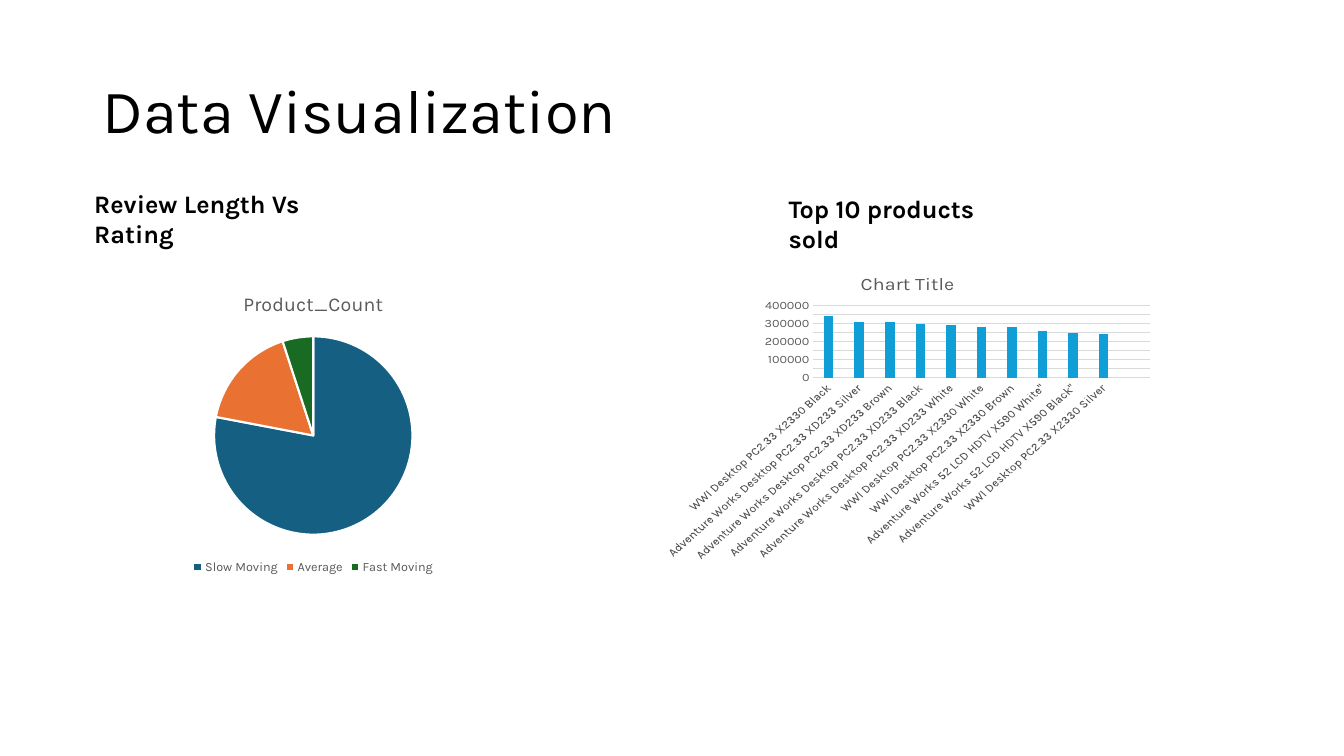
from pptx import Presentation
from pptx.chart.data import CategoryChartData
from pptx.dml.color import RGBColor
from pptx.enum.chart import XL_CHART_TYPE, XL_LEGEND_POSITION, XL_TICK_MARK
from pptx.enum.text import MSO_ANCHOR, MSO_AUTO_SIZE, PP_ALIGN
from pptx.util import Pt

FONT = "Karla"
BLACK = RGBColor(0x00, 0x00, 0x00)
WHITE = RGBColor(0xFF, 0xFF, 0xFF)
GREY = RGBColor(0x59, 0x59, 0x59)
GRID = RGBColor(0xD9, 0xD9, 0xD9)
TEAL = RGBColor(0x15, 0x60, 0x82)
ORANGE = RGBColor(0xE9, 0x71, 0x32)
GREEN = RGBColor(0x19, 0x6B, 0x24)
BLUE = RGBColor(0x0F, 0x9E, 0xD5)

MOVEMENT = ["Slow Moving", "Average", "Fast Moving"]
COUNTS = [78, 17, 5]
PRODUCTS = [
    "WWI Desktop PC2.33 X2330 Black",
    "Adventure Works Desktop PC2.33 XD233 Silver",
    "Adventure Works Desktop PC2.33 XD233 Brown",
    "Adventure Works Desktop PC2.33 XD233 Black",
    "Adventure Works Desktop PC2.33 XD233 White",
    "WWI Desktop PC2.33 X2330 White",
    "WWI Desktop PC2.33 X2330 Brown",
    'Adventure Works 52 LCD HDTV X590 White"',
    'Adventure Works 52 LCD HDTV X590 Black"',
    "WWI Desktop PC2.33 X2330 Silver",
]
SOLD = [340000, 310000, 310000, 300000, 290000, 280000, 280000, 260000, 250000, 240000, None]
SALES = [("Series 1", []), ("Series 2", []), ("Series 3", []), ("Series 4", SOLD)]
SERIES_COLORS = [TEAL, ORANGE, GREEN, BLUE]


def style_font(font, size, color, bold=False):
    font.name = FONT
    font.size = Pt(size)
    font.bold = bold
    font.color.rgb = color


def add_title(s, x, y, w, h):
    sp = s.shapes.title
    sp.left, sp.top, sp.width, sp.height = Pt(x), Pt(y), Pt(w), Pt(h)
    tf = sp.text_frame
    tf.vertical_anchor = MSO_ANCHOR.MIDDLE
    p = tf.paragraphs[0]
    p.alignment = PP_ALIGN.LEFT
    p.line_spacing = 0.9
    r = p.add_run()
    r.text = "Data Visualization"
    style_font(r.font, 44, BLACK)


def add_heading(s, text, x, y, w, h):
    tf = s.shapes.add_textbox(Pt(x), Pt(y), Pt(w), Pt(h)).text_frame
    tf.word_wrap = True
    tf.auto_size = MSO_AUTO_SIZE.SHAPE_TO_FIT_TEXT
    r = tf.paragraphs[0].add_run()
    r.text = text
    style_font(r.font, 18, BLACK, True)


def add_chart(s, kind, title, categories, series, x, y, w, h):
    data = CategoryChartData()
    data.categories = categories
    for name, values in series:
        data.add_series(name, values)
    chart = s.shapes.add_chart(kind, Pt(x), Pt(y), Pt(w), Pt(h), data).chart
    style_font(chart.font, 10, BLACK)
    chart.has_title = True
    chart.chart_title.include_in_layout = False
    r = chart.chart_title.text_frame.paragraphs[0].add_run()
    r.text = title
    style_font(r.font, 14, GREY)
    return chart


def add_movement_pie(s, x, y, w, h):
    chart = add_chart(s, XL_CHART_TYPE.PIE, "Product_Count", MOVEMENT,
                      [("Product_Count", COUNTS)], x, y, w, h)
    chart.has_legend = True
    chart.legend.position = XL_LEGEND_POSITION.BOTTOM
    chart.legend.include_in_layout = False
    style_font(chart.legend.font, 9, GREY)
    plot = chart.plots[0]
    plot.vary_by_categories = True
    for i, color in enumerate(SERIES_COLORS[:len(MOVEMENT)]):
        fmt = plot.series[0].points[i].format
        fmt.fill.solid()
        fmt.fill.fore_color.rgb = color
        fmt.line.color.rgb = WHITE
        fmt.line.width = Pt(1.5)


def add_sales_columns(s, x, y, w, h):
    chart = add_chart(s, XL_CHART_TYPE.COLUMN_CLUSTERED, "Chart Title", PRODUCTS, SALES, x, y, w, h)
    chart.has_legend = False
    plot = chart.plots[0]
    plot.vary_by_categories = False
    plot.gap_width = 219
    plot.overlap = -27
    for series, color in zip(plot.series, SERIES_COLORS):
        series.format.fill.solid()
        series.format.fill.fore_color.rgb = color
    for val in chart.element.xpath(".//c:ser/c:val[not(.//c:pt)]"):
        val.getparent().remove(val)
    cat, val = chart.category_axis, chart.value_axis
    for axis in (cat, val):
        axis.major_tick_mark = XL_TICK_MARK.NONE
        axis.minor_tick_mark = XL_TICK_MARK.NONE
        style_font(axis.tick_labels.font, 9, GREY)
    for body in chart.element.xpath(".//c:catAx/c:txPr/a:bodyPr"):
        body.set("rot", "-60000000")
    val.minimum_scale, val.maximum_scale, val.major_unit = 0, 400000, 50000
    val.format.line.fill.background()
    val.has_major_gridlines = True
    for line in (cat.format.line, val.major_gridlines.format.line):
        line.color.rgb = GRID
        line.width = Pt(0.75)


def main():
    prs = Presentation()
    prs.slide_width, prs.slide_height = Pt(960), Pt(540)
    s = prs.slides.add_slide(prs.slide_layouts[5])
    add_title(s, 66, 28.75, 828, 104.4)
    add_heading(s, "Review Length Vs Rating", 60.2, 131, 213.8, 29)
    add_heading(s, "Top 10 products sold", 556.2, 134.2, 184.3, 29)
    add_movement_pie(s, 43.8, 197.3, 360, 216)
    add_sales_columns(s, 468.3, 185, 360, 216)
    prs.save("out.pptx")


if __name__ == "__main__":
    main()
